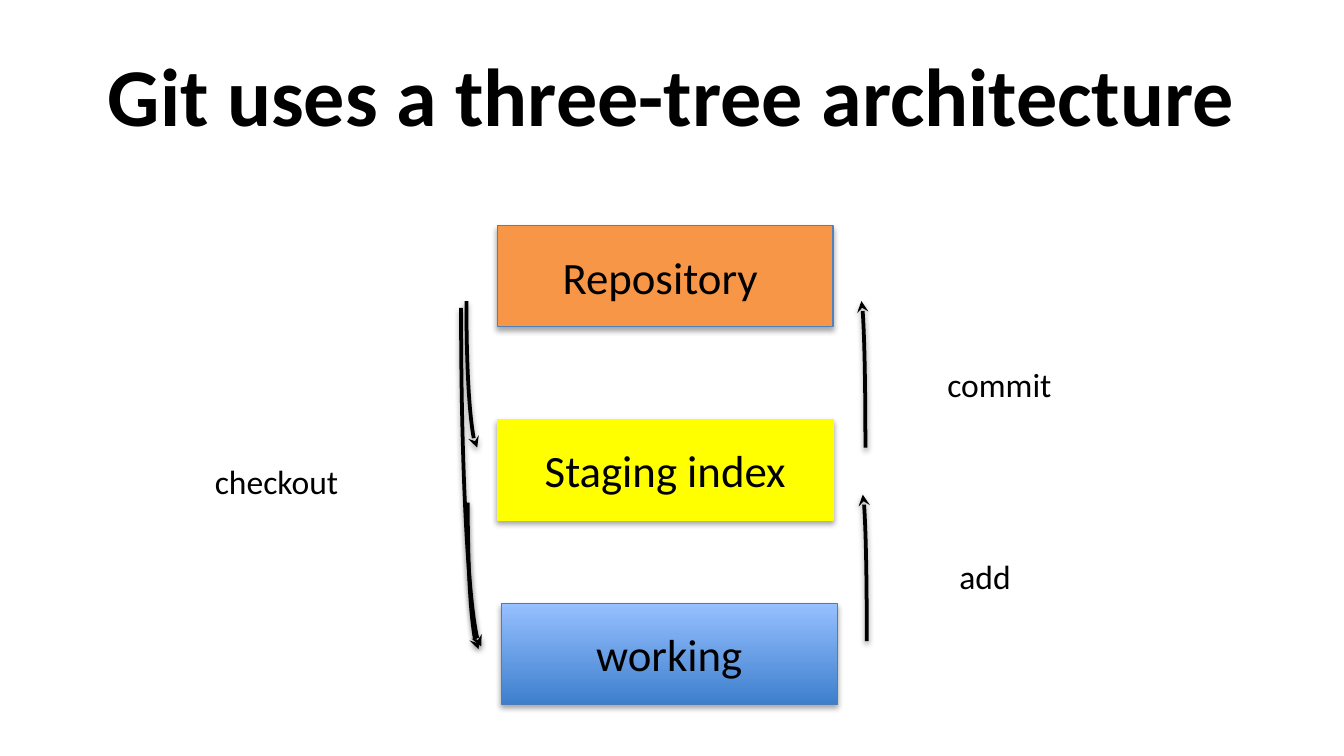
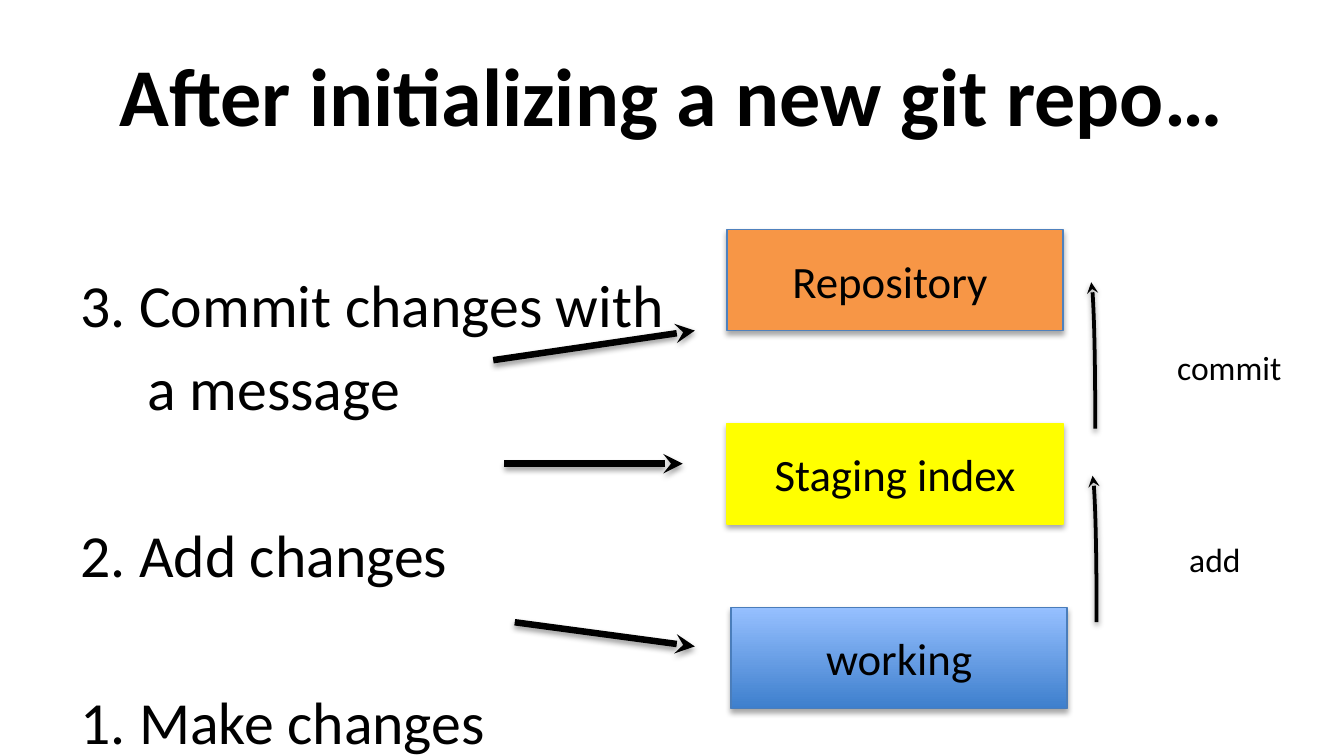
"""Build two slides about the three-tree architecture of Git."""
from typing import NamedTuple

from lxml.etree import SubElement
from pptx import Presentation
from pptx.dml.color import RGBColor
from pptx.enum.shapes import MSO_CONNECTOR as Connector, MSO_SHAPE as Preset
from pptx.enum.text import MSO_ANCHOR as Anchor, PP_ALIGN as Align
from pptx.oxml.ns import qn
from pptx.slide import Slide
from pptx.text.text import TextFrame
from pptx.util import Inches, Pt

FONT = "Calibri"
COLORS = {
    "text": "000000",
    "repository": "F79646",
    "repository_edge": "4F81BD",
    "staging": "FFFF00",
    "working_bottom": "3E7FCD",
    "working_top": "96C0FF",
    "working_edge": "4A7DBA",
}
SLIDE_WIDTH = 10
SLIDE_HEIGHT = SLIDE_WIDTH * 9 / 16
BOX_WIDTH, BOX_HEIGHT = 2.5, 0.75


class Tree(NamedTuple):
    text: str
    left: float
    top: float
    fills: tuple[str, ...]
    edge: str


class Arrow(NamedTuple):
    start: tuple[float, float]
    end: tuple[float, float]


class Label(NamedTuple):
    text: str
    left: float
    top: float
    width: float
    indent: float = 0


class Step(NamedTuple):
    text: str
    indent: float = 0
    space_before: float = 0


TREES = [
    Tree("Staging index", 3.7, 3.12, ("staging",), "staging"),
    Tree("working", 3.73, 4.49, ("working_bottom", "working_top"), "working_edge"),
    Tree("Repository ", 3.7, 1.68, ("repository",), "repository_edge"),
]
UPWARD_ARROWS = [
    Arrow((6.44, 3.33), (6.41, 2.24)),
    Arrow((6.45, 4.77), (6.42, 3.68)),
]
CHECKOUT_ARROWS = [
    Arrow((3.47, 2.24), (3.55, 3.33)),
    Arrow((3.48, 3.74), (3.56, 4.83)),
    Arrow((3.43, 2.29), (3.58, 4.81)),
]
UPWARD_LABELS = [
    Label("add", 6.87, 4.09, 0.76, 0.17),
    Label("commit", 6.95, 2.66, 0.99),
]
CHECKOUT_LABEL = Label("checkout", 1.5, 3.38, 1.14)
STEPS = [
    Step("3. Commit changes with"),
    Step("a message", 0.5, 6.4),
    Step("2. Add changes", 0, 51.1),
    Step("1. Make changes", 0, 51.1),
]
STEP_ARROWS = [
    Arrow((3.83, 4.63), (5.17, 4.81)),
    Arrow((3.75, 3.45), (5.08, 3.45)),
    Arrow((3.67, 2.68), (5.17, 2.46)),
]


def color(name: str) -> RGBColor:
    return RGBColor.from_string(COLORS[name])


def write(frame: TextFrame, steps: list[Step], size: float,
          align: Align = Align.LEFT, bold: bool = False) -> None:
    frame.word_wrap = True
    for index, step in enumerate(steps):
        paragraph = frame.add_paragraph() if index else frame.paragraphs[0]
        paragraph.alignment = align
        if step.indent:
            paragraph._p.get_or_add_pPr().set("marL", str(Inches(step.indent)))
        if step.space_before:
            paragraph.space_before = Pt(step.space_before)
        run = paragraph.add_run()
        run.text = step.text
        run.font.name = FONT
        run.font.size = Pt(size)
        run.font.bold = bold
        run.font.color.rgb = color("text")


def add_text(slide: Slide, left: float, top: float, width: float,
             height: float) -> TextFrame:
    box = slide.shapes.add_textbox(
        Inches(left), Inches(top), Inches(width), Inches(height))
    return box.text_frame


def add_shadow(effects, distance: float, opacity: int) -> None:
    shadow = SubElement(
        effects, qn("a:outerShdw"), blurRad=str(Pt(3.1)), dist=str(Pt(distance)),
        dir="5400000", rotWithShape="0")
    black = SubElement(shadow, qn("a:srgbClr"), val=COLORS["text"])
    SubElement(black, qn("a:alpha"), val=str(opacity * 1000))


def add_title(slide: Slide, text: str) -> None:
    frame = add_text(slide, 0.5, 0.23, 9, 0.94)
    frame.vertical_anchor = Anchor.MIDDLE
    write(frame, [Step(text)], 44, Align.CENTER, bold=True)


def add_tree(slide: Slide, tree: Tree, dx: float, dy: float) -> None:
    shape = slide.shapes.add_shape(
        Preset.RECTANGLE, Inches(tree.left + dx), Inches(tree.top + dy),
        Inches(BOX_WIDTH), Inches(BOX_HEIGHT))
    if len(tree.fills) == 1:
        shape.fill.solid()
        shape.fill.fore_color.rgb = color(tree.fills[0])
    else:
        shape.fill.gradient()
        shape.fill.gradient_angle = 90
        for stop, name in zip(shape.fill.gradient_stops, tree.fills):
            stop.color.rgb = color(name)
    shape.line.color.rgb = color(tree.edge)
    shape.line.width = Pt(0.75)
    shape.shadow.inherit = False
    add_shadow(shape.element.spPr.find(qn("a:effectLst")), 1.8, 35)
    shape.text_frame.vertical_anchor = Anchor.MIDDLE
    write(shape.text_frame, [Step(tree.text)], 24, Align.CENTER)


def add_arrow(slide: Slide, arrow: Arrow, width: float, curved: bool = False,
              dx: float = 0, dy: float = 0) -> None:
    (x1, y1), (x2, y2) = arrow.start, arrow.end
    kind = Connector.STRAIGHT
    downward = y2 > y1
    if curved:
        kind = Connector.CURVE
        middle_x, middle_y = (x1 + x2) / 2, (y1 + y2) / 2
        half_width, half_height = abs(y2 - y1) / 2, abs(x2 - x1) / 2
        x1, x2 = middle_x + half_width, middle_x - half_width
        y1, y2 = middle_y - half_height, middle_y + half_height
    connector = slide.shapes.add_connector(
        kind, Inches(x1 + dx), Inches(y1 + dy), Inches(x2 + dx), Inches(y2 + dy))
    properties = connector.element.spPr
    if curved:
        properties.find(qn("a:prstGeom")).set("prst", "curvedConnector2")
        angle = 270 if downward else 90
        properties.find(qn("a:xfrm")).set("rot", str(angle * 60000))
    connector.line.color.rgb = color("text")
    connector.line.width = Pt(width)
    SubElement(properties.find(qn("a:ln")), qn("a:tailEnd"), type="stealth")
    add_shadow(SubElement(properties, qn("a:effectLst")), 1.6, 38)


def add_label(slide: Slide, label: Label, dx: float = 0, dy: float = 0) -> None:
    frame = add_text(slide, label.left + dx, label.top + dy, label.width, 0.3)
    write(frame, [Step(label.text, label.indent)], 18)


def add_diagram(slide: Slide, dx: float = 0, trees_dy: float = 0,
                arrows_dy: float = 0, labels_dy: float = 0) -> None:
    for tree in TREES:
        add_tree(slide, tree, dx, trees_dy)
    for arrow in UPWARD_ARROWS:
        add_arrow(slide, arrow, 2, True, dx, arrows_dy)
    for label in UPWARD_LABELS:
        add_label(slide, label, dx, labels_dy)


def build_architecture(slide: Slide) -> None:
    add_title(slide, "Git uses a three-tree architecture")
    add_diagram(slide)
    add_label(slide, CHECKOUT_LABEL)
    for arrow in CHECKOUT_ARROWS:
        add_arrow(slide, arrow, 2, True)


def build_first_steps(slide: Slide) -> None:
    add_title(slide, "After initializing a new git repo…")
    write(add_text(slide, 0.5, 1.94, 9, 3.08), STEPS, 32)
    add_diagram(slide, 1.71, 0.03, -0.14, -0.13)
    for arrow in STEP_ARROWS:
        add_arrow(slide, arrow, 3.5)


def main() -> None:
    presentation = Presentation()
    presentation.slide_width = Inches(SLIDE_WIDTH)
    presentation.slide_height = Inches(SLIDE_HEIGHT)
    for build in (build_architecture, build_first_steps):
        build(presentation.slides.add_slide(presentation.slide_layouts[6]))
    presentation.save("out.pptx")


if __name__ == "__main__":
    main()
